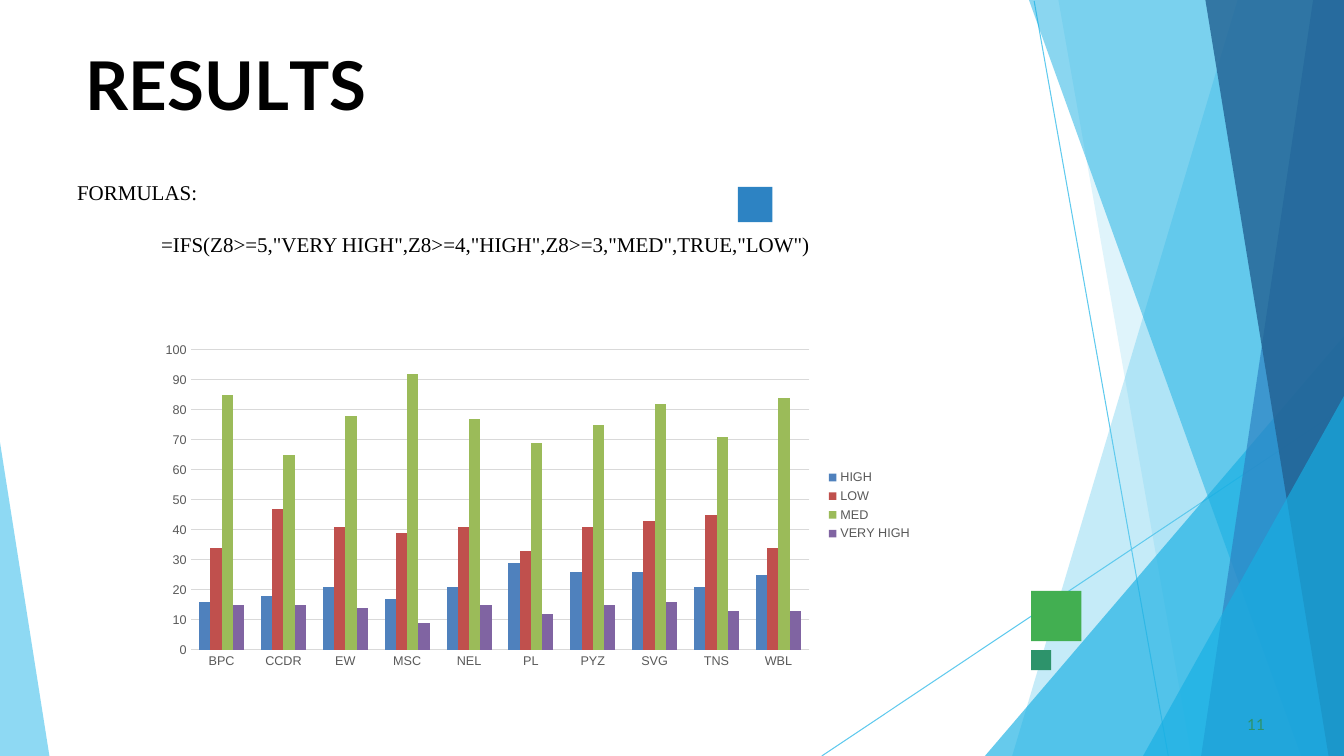
from dataclasses import dataclass

from lxml import etree
from pptx import Presentation
from pptx.chart.data import CategoryChartData
from pptx.dml.color import RGBColor
from pptx.enum import chart as ch, shapes, text
from pptx.oxml.ns import qn
from pptx.util import Pt


@dataclass(frozen=True)
class Theme:
    """Colours, fonts and type sizes of the slide."""
    ink: str = "000000"
    grey: str = "595959"
    grid: str = "D9D9D9"
    sky: str = "5FCAEE"
    cyan: str = "17AFE3"
    blue: str = "2D83C3"
    navy: str = "226192"
    green: str = "42AF51"
    teal: str = "2D936B"
    series: tuple = ("4F81BD", "C0504D", "9BBB59", "8064A2")
    heading: str = "Lato"
    body: str = "Times New Roman"
    title_size: float = 48
    body_size: float = 15
    number_size: float = 11
    chart_size: float = 9


T = Theme()
W, H = 960, 540

FACETS = [
    ([(W, 0), (884, 0), (723, H), (W, H)], T.sky, 36),
    ([(W, 0), (756, 0), (851, H), (W, H)], T.sky, 20),
    ([(W, 240), (703.5, H), (W, H)], T.cyan, 66),
    ([(W, 0), (735, 0), (929.5, H), (W, H)], T.cyan, 50),
    ([(W, 0), (938, 0), (858, H), (W, H)], T.blue, 70),
    ([(W, 0), (861, 0), (949, H), (W, H)], T.navy, 80),
    ([(W, 283), (816.5, H), (W, H)], T.cyan, 66),
    ([(0, 316), (0, H), (35.3, H)], T.sky, 70),
]
RAYS = [(738.7, 0.7, 834.5, H), (W, 291, 587, H)]
SQUARES = [
    (736.5, 422, 36, 36, T.green),
    (527, 133.5, 24.8, 25.2, T.blue),
    (736.5, 464.4, 14.3, 14.3, T.teal),
]
TITLE = [("R", 0), ("E", -0.4), ("S", 0.1), ("U", -0.3), ("L", -4), ("TS", 0)]
FORMULA = '=IFS(Z8>=5,"VERY HIGH",Z8>=4,"HIGH",Z8>=3,"MED",TRUE,"LOW")'
CATEGORIES = ["BPC", "CCDR", "EW", "MSC", "NEL", "PL", "PYZ", "SVG", "TNS", "WBL"]
RATINGS = {
    "HIGH": [16, 18, 21, 17, 21, 29, 26, 26, 21, 25],
    "LOW": [34, 47, 41, 39, 41, 33, 41, 43, 45, 34],
    "MED": [85, 65, 78, 92, 77, 69, 75, 82, 71, 84],
    "VERY HIGH": [15, 15, 14, 9, 15, 12, 15, 16, 13, 13],
}


def rgb(color):
    """Turn a hex string into a colour."""
    return RGBColor.from_string(color)


def paint(sp, color, alpha=100):
    """Fill a shape with one colour and drop its outline and shadow."""
    sp.shadow.inherit = False
    sp.fill.solid()
    sp.fill.fore_color.rgb = rgb(color)
    sp.line.fill.background()
    if alpha < 100:
        clr = sp._element.spPr.find(qn("a:solidFill"))[0]
        etree.SubElement(clr, qn("a:alpha")).set("val", str(alpha * 1000))


def add_facet(s, points, color, alpha):
    """Draw a translucent polygon."""
    start, *rest = [(Pt(x), Pt(y)) for x, y in points]
    builder = s.shapes.build_freeform(*start)
    builder.add_line_segments(rest, close=True)
    paint(builder.convert_to_shape(), color, alpha)


def add_ray(s, *ends):
    """Draw a thin straight line."""
    line = s.shapes.add_connector(shapes.MSO_CONNECTOR.STRAIGHT, *map(Pt, ends))
    line.line.color.rgb = rgb(T.sky)
    line.line.width = Pt(0.75)
    etree.SubElement(line._element.spPr, qn("a:effectLst"))


def add_square(s, x, y, w, h, color):
    """Draw a plain filled square."""
    paint(s.shapes.add_shape(shapes.MSO_SHAPE.RECTANGLE, Pt(x), Pt(y), Pt(w), Pt(h)), color)


def add_box(s, x, y, w, h, insets):
    """Add a wrapping text box and return its text frame."""
    tf = s.shapes.add_textbox(Pt(x), Pt(y), Pt(w), Pt(h)).text_frame
    tf.word_wrap = True
    tf.vertical_anchor = text.MSO_ANCHOR.TOP
    tf.margin_left, tf.margin_top, tf.margin_right, tf.margin_bottom = map(Pt, insets)
    return tf


def write(p, runs, font, size, color, bold=False, before=0, indent=0):
    """Write (text, letter spacing) runs into a paragraph."""
    p.space_before = Pt(before)
    p._p.get_or_add_pPr().set("marL", str(Pt(indent)))
    for words, spacing in runs:
        r = p.add_run()
        r.text = words
        r.font.name, r.font.size, r.font.bold = font, Pt(size), bold
        r.font.color.rgb = rgb(color)
        if spacing:
            r._r.get_or_add_rPr().set("spc", str(round(spacing * 100)))


def style_font(font):
    """Give chart text its size and colour."""
    font.size = Pt(T.chart_size)
    font.color.rgb = rgb(T.grey)


def add_ratings_chart(s, x, y, w, h):
    """Add the clustered column chart of ratings by unit."""
    data = CategoryChartData()
    data.categories = CATEGORIES
    for name, values in RATINGS.items():
        data.add_series(name, values)
    chart = s.shapes.add_chart(
        ch.XL_CHART_TYPE.COLUMN_CLUSTERED, Pt(x), Pt(y), Pt(w), Pt(h), data).chart
    chart.has_title = False
    chart.font.name = "Arial"
    style_font(chart.font)
    chart.has_legend = True
    chart.legend.position = ch.XL_LEGEND_POSITION.RIGHT
    chart.legend.include_in_layout = False
    style_font(chart.legend.font)
    plot = chart.plots[0]
    plot.gap_width, plot.overlap, plot.vary_by_categories = 150, 0, False
    for series, color in zip(plot.series, T.series):
        series.format.fill.solid()
        series.format.fill.fore_color.rgb = rgb(color)
    for axis in (chart.category_axis, chart.value_axis):
        axis.major_tick_mark = axis.minor_tick_mark = ch.XL_TICK_MARK.NONE
        axis.format.line.fill.background()
        style_font(axis.tick_labels.font)
    scale = chart.value_axis
    scale.minimum_scale, scale.maximum_scale, scale.major_unit = 0, 100, 10
    scale.has_major_gridlines = True
    scale.major_gridlines.format.line.color.rgb = rgb(T.grid)
    scale.major_gridlines.format.line.width = Pt(0.75)


def main():
    """Build the slide and save it."""
    prs = Presentation()
    prs.slide_width, prs.slide_height = Pt(W), Pt(H)
    s = prs.slides.add_slide(prs.slide_layouts[6])
    for ray in RAYS:
        add_ray(s, *ray)
    for facet in FACETS:
        add_facet(s, *facet)
    for square in SQUARES:
        add_square(s, *square)

    tf = add_box(s, 60, 30.2, 841, 58.3, (0, 1, 0, 0))
    write(tf.paragraphs[0], TITLE, T.heading, T.title_size, T.ink, bold=True, before=1, indent=1)

    tf = add_box(s, 48, 124.6, 864, 62, (7.2, 3.6, 7.2, 3.6))
    write(tf.paragraphs[0], [("FORMULAS:", 0)], T.body, T.body_size, T.ink)
    write(tf.add_paragraph(), [(FORMULA, 0)], T.body, T.body_size, T.ink, before=19, indent=60)

    tf = add_box(s, 887.8, 509.8, 18, 13, (0, 1, 0, 0))
    write(tf.paragraphs[0], [("11", 0.1)], T.heading, T.number_size, T.teal, before=0.6, indent=3)

    add_ratings_chart(s, 107.3, 239.8, 551.5, 242.6)
    prs.save("out.pptx")


if __name__ == "__main__":
    main()
